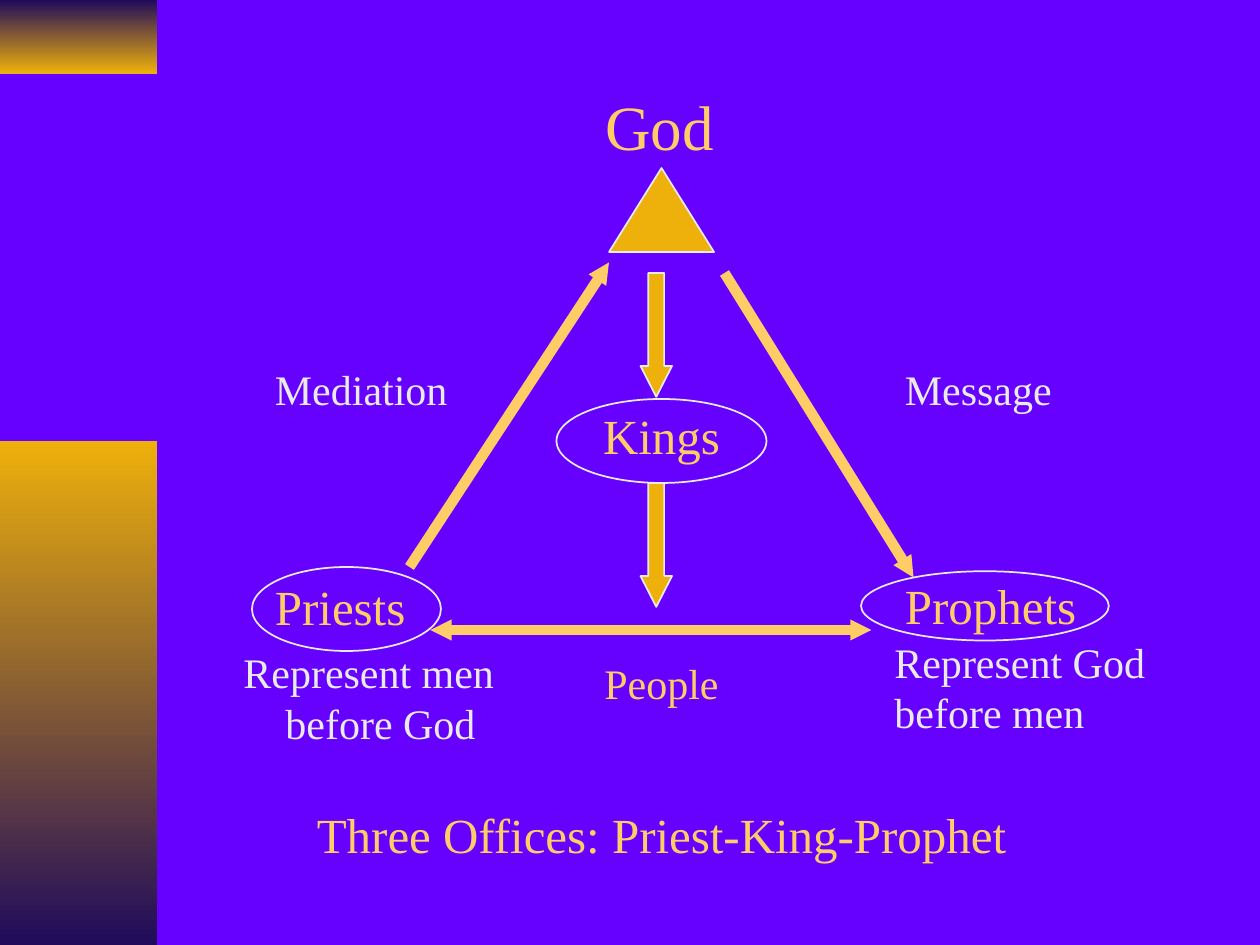
"""Builds a slide relating the offices of priest, king and prophet to God and people."""
from lxml import etree
from pptx import Presentation
from pptx.dml.color import RGBColor
from pptx.enum import shapes, text
from pptx.oxml import ns
from pptx.util import Pt

VIOLET = RGBColor(0x66, 0x00, 0xFF)
NAVY = RGBColor(0x20, 0x0B, 0x5B)
AMBER = RGBColor(0xEE, 0xB0, 0x0B)
PEACH = RGBColor(0xFF, 0xCC, 0x66)
PALE = RGBColor(0xEA, 0xEA, 0xEA)
FONT = "Times New Roman"
CENTER = text.PP_ALIGN.CENTER
SHAPE = shapes.MSO_SHAPE

bands = [((0, 0, 90, 42), NAVY, AMBER), ((0, 252, 90, 288), AMBER, NAVY)]
solids = [
    (SHAPE.ISOSCELES_TRIANGLE, (348, 96, 60, 48)),
    (SHAPE.DOWN_ARROW, (366, 156, 18, 70.8)),
    (SHAPE.DOWN_ARROW, (366, 276, 18, 70.8)),
]
links = [
    ((234, 324, 348, 150), ["tailEnd"]),
    ((414, 156, 522, 330), ["tailEnd"]),
    ((246, 360, 498, 360), ["headEnd", "tailEnd"]),
]
labels = [
    ("Kings", (330, 228, 96, 41), dict(size=28, align=CENTER)),
    ("People", (330, 372, 96, 36), dict(align=CENTER)),
    ("Priests", (150, 326, 96, 41), dict(size=28)),
    ("Prophets", (510, 325.2, 135, 41), dict(size=28)),
    ("Mediation", (150, 204, 120, 36), dict(color=PALE)),
    ("Message", (510, 204, 103, 36), dict(color=PALE)),
    ("Three Offices: Priest-King-Prophet", (174, 456, 420, 41), dict(size=28)),
    ("Represent men before God", (132, 366, 168, 65), dict(color=PALE, hang=24)),
    ("Represent God before men", (504, 360, 162, 65), dict(color=PALE)),
]
ovals = [(318, 228, 120, 48), (144, 324, 108, 48), (492, 326.4, 141.6, 39.6)]


def points(box):
    return [Pt(length) for length in box]


def write(frame, words, size=24, color=PEACH, align=text.PP_ALIGN.LEFT,
          anchor=text.MSO_ANCHOR.TOP, hang=0):
    frame.word_wrap = True
    frame.vertical_anchor = anchor
    paragraph = frame.paragraphs[0]
    paragraph.alignment = align
    if hang:
        properties = paragraph._p.get_or_add_pPr()
        properties.set("marL", str(Pt(hang)))
        properties.set("indent", str(-Pt(hang)))
    run = paragraph.add_run()
    run.text = words
    run.font.name, run.font.size, run.font.color.rgb = FONT, Pt(size), color


def add_outlined(slide, kind, box, fill=None):
    figure = slide.shapes.add_shape(kind, *points(box))
    figure.shadow.inherit = False
    if fill is None:
        figure.fill.background()
    else:
        figure.fill.solid()
        figure.fill.fore_color.rgb = fill
    figure.line.color.rgb, figure.line.width = PALE, Pt(1)
    return figure


def add_band(slide, box, upper, lower):
    band = slide.shapes.add_shape(SHAPE.RECTANGLE, *points(box))
    band.shadow.inherit = False
    band.line.fill.background()
    band.fill.gradient()
    band.fill.gradient_angle = 270
    for stop, color in zip(band.fill.gradient_stops, (upper, lower)):
        stop.color.rgb = color


def add_link(slide, ends, heads):
    link = slide.shapes.add_connector(shapes.MSO_CONNECTOR.STRAIGHT, *points(ends))
    link.line.color.rgb, link.line.width = PEACH, Pt(6)
    outline = link.line._get_or_add_ln()
    for head in heads:
        etree.SubElement(outline, ns.qn(f"a:{head}"), type="triangle", w="sm", len="sm")
    etree.SubElement(link._element.spPr, ns.qn("a:effectLst"))


def main():
    deck = Presentation()
    deck.slide_width, deck.slide_height = Pt(720), Pt(540)
    slide = deck.slides.add_slide(deck.slide_layouts[5])
    slide.background.fill.solid()
    slide.background.fill.fore_color.rgb = VIOLET

    for box, upper, lower in bands:
        add_band(slide, box, upper, lower)

    title = slide.shapes.title
    title.left, title.top, title.width, title.height = points((96, 24, 612, 95))
    title.text_frame.margin_left = Pt(250)
    write(title.text_frame, "God", size=36, anchor=text.MSO_ANCHOR.MIDDLE)

    for kind, box in solids:
        figure = add_outlined(slide, kind, box, AMBER)
        if kind == SHAPE.DOWN_ARROW:
            figure.adjustments[1] = 0.98
    for ends, heads in links:
        add_link(slide, ends, heads)
    for words, box, style in labels:
        write(slide.shapes.add_textbox(*points(box)).text_frame, words, **style)
    for box in ovals:
        add_outlined(slide, SHAPE.OVAL, box)

    deck.save("out.pptx")


if __name__ == "__main__":
    main()
